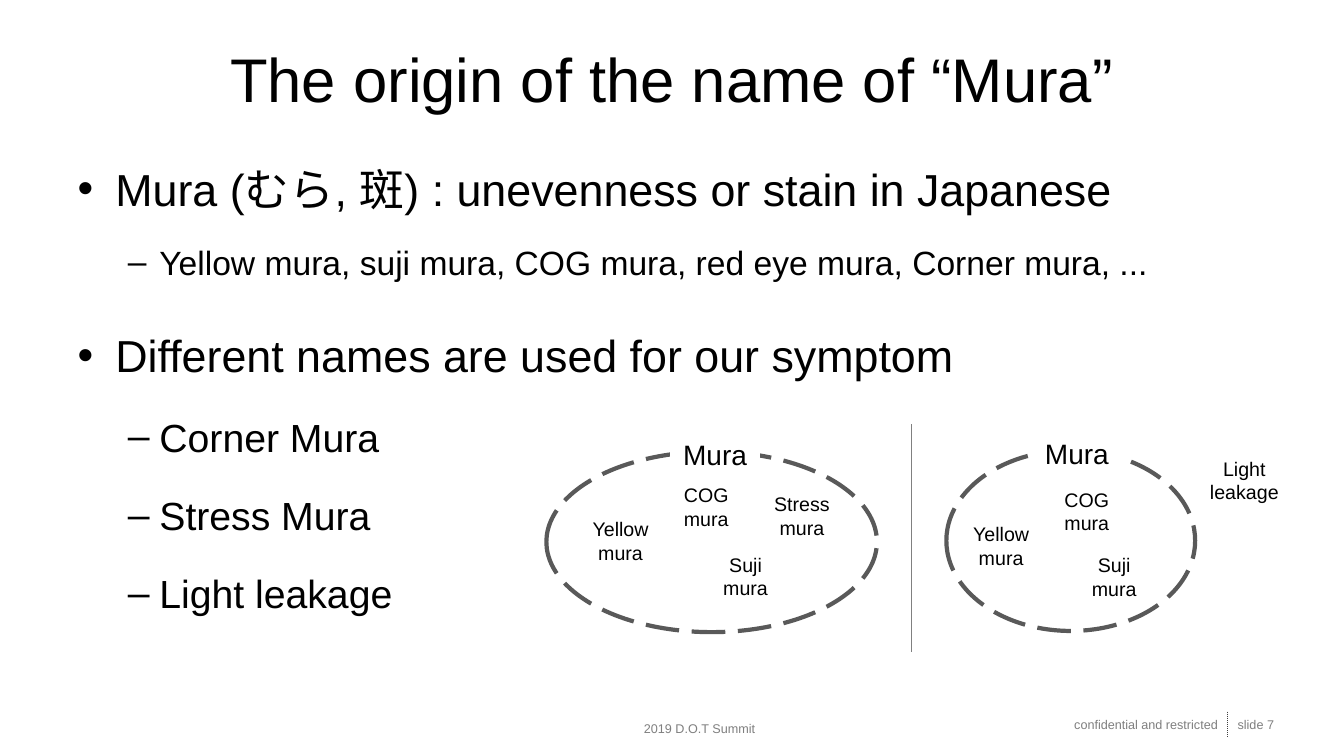
from lxml.etree import SubElement
from pptx import Presentation
from pptx.dml.color import RGBColor
from pptx.enum.dml import MSO_LINE_DASH_STYLE as Dash
from pptx.enum.shapes import MSO_CONNECTOR as Connector, MSO_SHAPE as Shape
from pptx.enum.text import MSO_ANCHOR as Anchor, MSO_AUTO_SIZE as AutoSize, PP_ALIGN as Align
from pptx.oxml.ns import qn
from pptx.util import Cm, Pt

FONT = "Arial"
BLACK, WHITE, GREY = "000000", "FFFFFF", "7F7F7F"
LABEL_WIDTH, LABEL_HEIGHT = 2.26, 0.99


def color(hex_string):
    return RGBColor.from_string(hex_string)


def place(shape, box):
    shape.left, shape.top, shape.width, shape.height = (Cm(side) for side in box)


def format_runs(paragraph, size, hex_color=BLACK):
    for run in paragraph.runs:
        run.font.name = FONT
        run.font.size = Pt(size)
        run.font.color.rgb = color(hex_color)


def add_title(slide, box, wording):
    title = slide.shapes.title
    place(title, box)
    frame = title.text_frame
    frame.text = wording
    frame.auto_size = AutoSize.NONE
    frame.vertical_anchor = Anchor.TOP
    frame.margin_top = Cm(0.28)
    frame.paragraphs[0].alignment = Align.CENTER
    format_runs(frame.paragraphs[0], 44)


def add_topic(body, box, heading, examples, example_size):
    """Fill a body placeholder with a first-level heading and second-level examples."""
    place(body, box)
    frame = body.text_frame
    frame.auto_size = AutoSize.NONE
    frame.text = heading
    format_runs(frame.paragraphs[0], 32)
    for example in examples:
        paragraph = frame.add_paragraph()
        paragraph.text = example
        paragraph.level = 1
        paragraph.line_spacing = 1.5
        format_runs(paragraph, example_size)


def add_text(slide, box, wording, size, hex_color=BLACK, align=Align.CENTER,
             anchor=Anchor.TOP, fill=None):
    textbox = slide.shapes.add_textbox(*(Cm(side) for side in box))
    if fill:
        textbox.fill.solid()
        textbox.fill.fore_color.rgb = color(fill)
    frame = textbox.text_frame
    frame.word_wrap = True
    frame.vertical_anchor = anchor
    frame.text = wording
    frame.paragraphs[0].alignment = align
    format_runs(frame.paragraphs[0], size, hex_color)


def add_vertical_line(slide, x, top, height, hex_color, dash=None):
    line = slide.shapes.add_connector(
        Connector.STRAIGHT, Cm(x), Cm(top), Cm(x), Cm(top + height))
    line.line.color.rgb = color(hex_color)
    line.line.width = Pt(0.75)
    if dash:
        line.line.dash_style = dash
    SubElement(line._element.spPr, qn("a:effectLst"))


def add_mura_set(slide, box, name_offset, members):
    """Draw a dashed set; offsets of its name and members count from the box corner."""
    left, top = box[:2]
    outline = slide.shapes.add_shape(Shape.OVAL, *(Cm(side) for side in box))
    outline.shadow.inherit = False
    outline.fill.background()
    outline.line.color.rgb = color("595959")
    outline.line.width = Pt(3)
    outline.line.dash_style = Dash.LONG_DASH

    def label_box(offset):
        return left + offset[0], top + offset[1], LABEL_WIDTH, LABEL_HEIGHT

    add_text(slide, label_box(name_offset), "Mura", 20, anchor=Anchor.MIDDLE, fill=WHITE)
    for member, offset in members.items():
        add_text(slide, label_box(offset), member, 14, anchor=Anchor.MIDDLE)


def add_footer(slide, box):
    left, top, width, height = box
    divider = left + 16.41
    add_text(slide, (divider, top, 2.51, height), "slide 7", 9, GREY, Align.LEFT)
    add_text(slide, (divider - width, top, width, height),
             "confidential and restricted", 9, GREY, Align.RIGHT)
    add_vertical_line(slide, divider, top, height, "404040", Dash.ROUND_DOT)
    add_text(slide, (left, top + 0.1, width, height), "2019 D.O.T Summit", 9, GREY)


def main():
    prs = Presentation()
    prs.slide_width, prs.slide_height = Cm(33.87), Cm(19.05)
    slide = prs.slides.add_slide(prs.slide_layouts.get_by_name("Two Content"))
    meaning, names = slide.placeholders[1], slide.placeholders[2]

    add_footer(slide, (14.53, 17.93, 6.2, 0.64))
    add_title(slide, (1.7, 0.76, 30.48, 3.18), "The origin of the name of “Mura”")
    add_topic(meaning, (1.7, 3.94, 30.48, 3.84),
              "Mura (むら, 斑) : unevenness or stain in Japanese",
              ["Yellow mura, suji mura, COG mura, red eye mura, Corner mura, ..."], 24)
    add_topic(names, (1.7, 8.13, 30.48, 8.61), "Different names are used for our symptom",
              ["Corner Mura", "Stress Mura", "Light leakage"], 28)

    add_mura_set(slide, (13.77, 11.38, 8.33, 4.55), (3.12, -0.43), {
        "Yellow mura": (0.74, 1.75),
        "COG mura": (2.9, 0.89),
        "Suji mura": (3.89, 2.64),
        "Stress mura": (5.31, 1.12),
    })
    add_mura_set(slide, (23.85, 11.35, 6.27, 4.55), (2.16, -0.41), {
        "Yellow mura": (0.25, 1.9),
        "COG mura": (2.41, 1.04),
        "Suji mura": (3.1, 2.69),
        "Light leakage": (6.38, 0.25),
    })
    add_vertical_line(slide, 22.96, 10.69, 5.74, "808080")
    prs.save("out.pptx")


if __name__ == "__main__":
    main()
